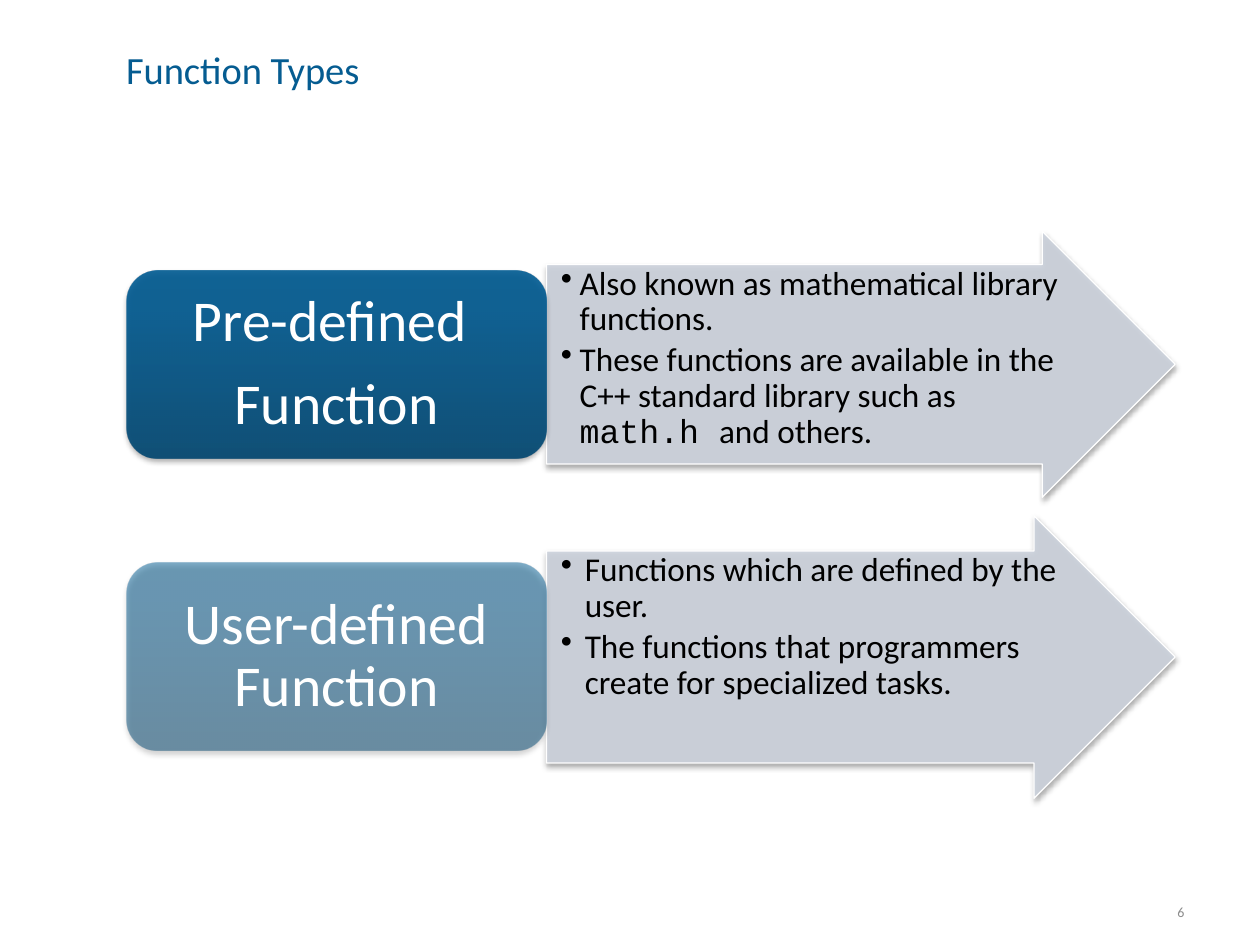
from lxml import etree
from pptx import Presentation
from pptx import util as u
from pptx.dml.color import RGBColor
from pptx.enum import shapes, text
from pptx.oxml import parse_xml
from pptx.oxml.ns import nsdecls, qn


def colour(value):
    return RGBColor.from_string(value)


class FunctionSlide:
    """Style of the deck, with the slide being filled."""
    font, code_font = "Calibri", "Courier New"
    blue, grey, pale, white, black = "055C91", "8C8C8C", "CCD2DC", "FFFFFF", "000000"
    gradient = ((0, "004670"), (80, "005A91"), (100, "005B92"))

    def __init__(self, deck):
        self.page = deck.slides.add_slide(deck.slide_layouts[5])

    def add_run(self, para, words, size, ink, font=None):
        span = para.add_run()
        span.text = words
        span.font.name = font or self.font
        span.font.size = u.Pt(size)
        span.font.color.rgb = colour(ink)

    def set_frame(self, box, anchor, insets=(0, 0, 0, 0), wrap=True):
        frame = box.text_frame
        frame.word_wrap = wrap
        frame.vertical_anchor = anchor
        (frame.margin_left, frame.margin_top,
         frame.margin_right, frame.margin_bottom) = map(u.Pt, insets)
        return frame

    def text_box(self, left, top, width, height, anchor, insets, wrap=True):
        box = self.page.shapes.add_textbox(*map(u.Pt, (left, top, width, height)))
        return self.set_frame(box, anchor, insets, wrap)

    def add_paragraphs(self, frame, rows, align, size, ink, after, spacing=0.9):
        for index, row in enumerate(rows):
            para = frame.add_paragraph() if index else frame.paragraphs[0]
            para.alignment = align
            para.line_spacing = spacing
            para.space_before = u.Pt(0)
            para.space_after = u.Pt(after)
            for words, font in row:
                self.add_run(para, words, size, ink, font)

    def add_shadow(self, box):
        box.shadow.inherit = False
        effects = box._element.spPr.find(qn("a:effectLst"))
        effects.append(parse_xml(
            f'<a:outerShdw {nsdecls("a")} blurRad="{u.Pt(3.1)}" dist="{u.Pt(1.8)}" '
            'dir="5400000" rotWithShape="0"><a:srgbClr val="000000">'
            '<a:alpha val="35000"/></a:srgbClr></a:outerShdw>'))

    def title(self, words, left, top, width, height):
        box = self.page.shapes.title
        box.left, box.top, box.width, box.height = map(u.Pt, (left, top, width, height))
        frame = self.set_frame(box, text.MSO_ANCHOR.MIDDLE)
        self.add_paragraphs(frame, [[(words, None)]], text.PP_ALIGN.LEFT,
                            22, self.blue, 0, 0.85)

    def arrow(self, rows, left, top, width, height, indent, hanging):
        box = self.page.shapes.add_shape(
            shapes.MSO_SHAPE.RIGHT_ARROW, *map(u.Pt, (left, top, width, height)))
        box.adjustments[0], box.adjustments[1] = 0.75, 0.5
        box.fill.solid()
        box.fill.fore_color.rgb = colour(self.pale)
        tint = box._element.spPr.find(qn("a:solidFill"))[0]
        etree.SubElement(tint, qn("a:alpha"), val="90000")
        box.line.color.rgb = colour(self.white)
        box.line.width = u.Pt(0.75)
        self.add_shadow(box)
        # The text is as tall as the shaft and reaches a little into the head
        frame = self.text_box(left, top + height / 8, width - height * 3 / 8,
                              height * 3 / 4, text.MSO_ANCHOR.TOP, (1, 1, 1, 1))
        self.add_paragraphs(frame, rows, text.PP_ALIGN.LEFT, 19, self.black, 2.85)
        for para in frame.paragraphs:
            props = para._p.get_or_add_pPr()
            props.set("marL", str(u.Pt(indent)))
            props.set("indent", str(u.Pt(-hanging)))
            etree.SubElement(props, qn("a:buChar"), char="•")

    def label(self, lines, left, top, width, height, opacity):
        box = self.page.shapes.add_shape(
            shapes.MSO_SHAPE.ROUNDED_RECTANGLE, *map(u.Pt, (left, top, width, height)))
        box.fill.background()
        box.line.fill.background()
        stops = "".join(
            f'<a:gs pos="{place * 1000}"><a:srgbClr val="{ink}">'
            f'<a:alpha val="{opacity * 1000}"/></a:srgbClr></a:gs>'
            for place, ink in self.gradient)
        props = box._element.spPr
        props.replace(props.find(qn("a:noFill")), parse_xml(
            f'<a:gradFill {nsdecls("a")} rotWithShape="1"><a:gsLst>{stops}</a:gsLst>'
            '<a:lin ang="16200000" scaled="0"/></a:gradFill>'))
        self.add_shadow(box)
        # The text keeps clear of the rounded corners and casts no shadow
        corner = 5.24
        frame = self.text_box(left + corner, top + corner, width - 2 * corner,
                              height - 2 * corner, text.MSO_ANCHOR.MIDDLE, (10, 5, 10, 5))
        self.add_paragraphs(frame, [[(line, None)] for line in lines],
                            text.PP_ALIGN.CENTER, 33, self.white, 11.55)

    def page_number(self, words, left, top, width, height):
        frame = self.text_box(left, top, width, height, text.MSO_ANCHOR.MIDDLE,
                              (7.2, 3.6, 7.2, 3.6), wrap=False)
        self.add_paragraphs(frame, [[(words, None)]], text.PP_ALIGN.RIGHT,
                            8, self.grey, 0, 1)


def main():
    deck = Presentation()
    deck.slide_width, deck.slide_height = u.Pt(720), u.Pt(540)
    slide = FunctionSlide(deck)
    slide.title("Function Types", 72, 30.24, 570.24, 23.04)

    # Each type: label lines, opacity, arrow top and height, indents, bullets
    types = [
        (["Pre-defined ", "Function"], 90, 132.2, 152, 18, 10.8,
         [[("Also known as mathematical library functions.", None)],
          [("These functions are available in the C++ standard library such as ", None),
           ("math.h ", slide.code_font), ("and others.", None)]]),
        (["User-defined Function"], 50, 294.7, 161.5, 20.88, 13.68,
         [[("Functions which are defined by the user.", None)],
          [("The functions that programmers create for specialized tasks.", None)]]),
    ]
    label_left, label_width, label_height = 72.3, 240, 107.3
    for lines, opacity, top, height, indent, hanging, rows in types:
        slide.arrow(rows, label_left + label_width, top, 359.3, height, indent, hanging)
        # The label is centred on its arrow
        label_top = top + (height - label_height) / 2
        slide.label(lines, label_left, label_top, label_width, label_height, opacity)

    slide.page_number("6", 659.5, 512.6, 24.5, 17.3)
    deck.save("out.pptx")


if __name__ == "__main__":
    main()
